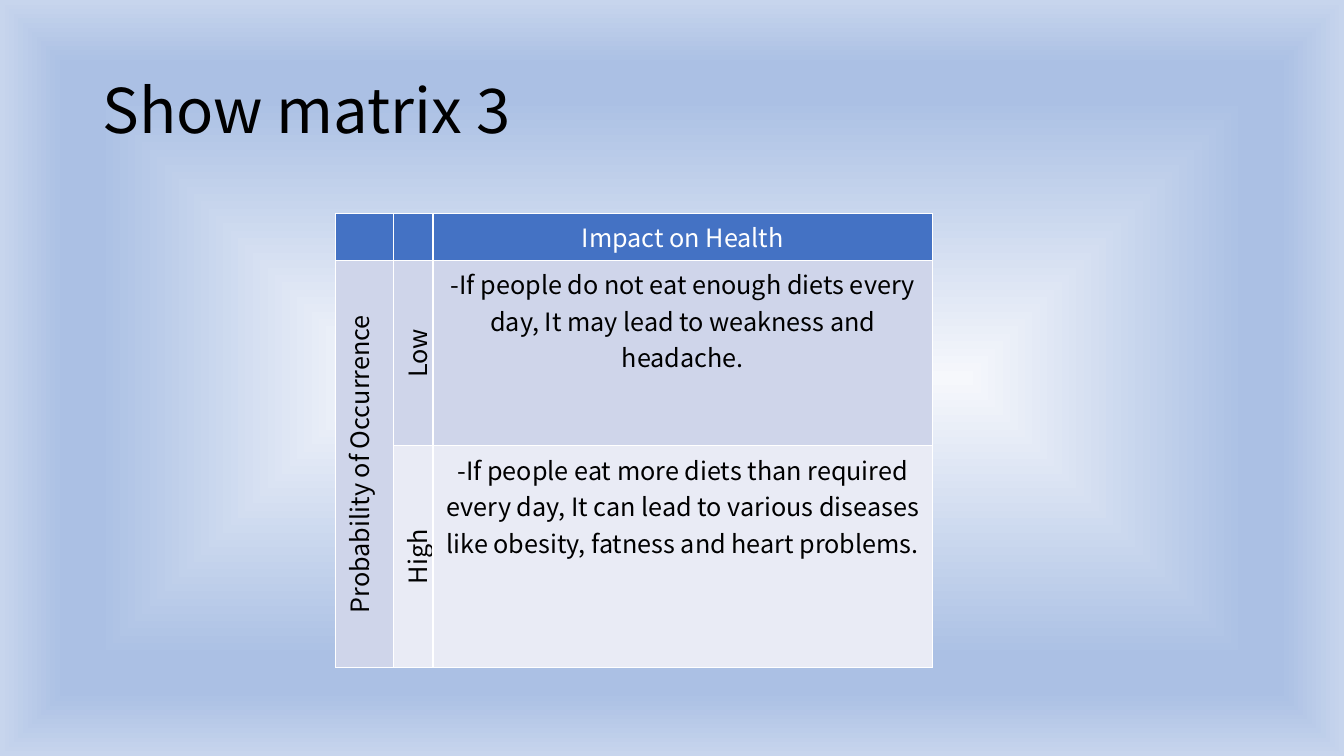
import pptx
import pptx.dml.color
import pptx.enum.text
import pptx.oxml
import pptx.oxml.ns
import pptx.util
from pptx.util import Pt

FONT = "Noto Sans CJK KR"
COLORS = {
    "black": "000000", "white": "FFFFFF", "header": "4472C4",
    "low": "CFD5EA", "high": "E9EBF5",
    "glow": "F6F8FC", "blue": "ABC0E4", "edge": "C7D5ED",
}
NS = pptx.oxml.ns.nsdecls("a", "p")
ALIGN = pptx.enum.text.PP_ALIGN
ANCHOR = pptx.enum.text.MSO_ANCHOR


def rgb(name):
    return pptx.dml.color.RGBColor.from_string(COLORS[name])


def add_run(p, text, size, color):
    r = p.add_run()
    r.text = text
    r.font.name = FONT
    r.font.size = Pt(size)
    r.font.bold = False
    r.font.color.rgb = rgb(color)


def set_background(s, stops):
    gs = "".join(
        f'<a:gs pos="{pos * 1000}"><a:srgbClr val="{COLORS[name]}"/></a:gs>'
        for pos, name in stops)
    s.element.cSld.insert(0, pptx.oxml.parse_xml(
        f'<p:bg {NS}><p:bgPr><a:gradFill rotWithShape="1"><a:gsLst>{gs}</a:gsLst>'
        '<a:path path="shape"><a:fillToRect l="50000" t="50000" r="50000" b="50000"/>'
        '</a:path></a:gradFill><a:effectLst/></p:bgPr></p:bg>'))


def set_title(s, text):
    title = s.shapes.title
    title.left, title.top, title.width, title.height = Pt(66), Pt(28.75), Pt(828), Pt(104.4)
    tf = title.text_frame
    tf.word_wrap = True
    tf.vertical_anchor = ANCHOR.MIDDLE
    p = tf.paragraphs[0]
    p.alignment = ALIGN.LEFT
    p.line_spacing = 0.9
    add_run(p, text, 44, "black")


def add_table(s, left, top, col_widths, row_heights):
    frame = s.shapes.add_table(len(row_heights), len(col_widths), Pt(left), Pt(top),
                               Pt(sum(col_widths)), Pt(sum(row_heights)))
    table = frame.table
    table.horz_banding = False
    for col, width in zip(table.columns, col_widths):
        col.width = Pt(width)
    for row, height in zip(table.rows, row_heights):
        row.height = Pt(height)
    return table


def format_cell(cell, fill, text="", color="black", anchor=ANCHOR.MIDDLE, rotated=False):
    tc_pr = cell._tc.get_or_add_tcPr()
    for side in "LRTB":
        tc_pr.append(pptx.oxml.parse_xml(
            f'<a:ln{side} {NS} w="{Pt(1)}"><a:solidFill>'
            f'<a:srgbClr val="{COLORS["white"]}"/></a:solidFill></a:ln{side}>'))
    cell.fill.solid()
    cell.fill.fore_color.rgb = rgb(fill)
    cell.vertical_anchor = anchor
    if rotated:
        tc_pr.set("vert", "vert270")
    if text:
        p = cell.text_frame.paragraphs[0]
        p.alignment = ALIGN.CENTER
        add_run(p, text, 18, color)


def main():
    prs = pptx.Presentation()
    prs.slide_width, prs.slide_height = Pt(960), Pt(540)
    s = prs.slides.add_slide(prs.slide_layouts[5])
    set_background(s, [(0, "glow"), (74, "blue"), (83, "blue"), (100, "edge")])
    set_title(s, "Show matrix 3")

    # Matrix header
    table = add_table(s, 239.75, 152.5, [41.25, 28.25, 357], [33.5, 132.5, 158.5])
    for col, text in enumerate(["", "", "Impact on Health"]):
        format_cell(table.cell(0, col), "header", text, "white")

    # Probability label spans both levels
    table.cell(1, 0).merge(table.cell(2, 0))
    format_cell(table.cell(1, 0), "low", "Probability of Occurrence", rotated=True)
    format_cell(table.cell(2, 0), "low")

    # Level rows
    levels = [
        ("Low", "low", "-If people do not eat enough diets every day, "
                       "It may lead to weakness and headache."),
        ("High", "high", "-If people eat more diets than required every day, It can lead "
                         "to various diseases like obesity, fatness and heart problems."),
    ]
    for row, (level, fill, impact) in enumerate(levels, start=1):
        format_cell(table.cell(row, 1), fill, level, rotated=True)
        format_cell(table.cell(row, 2), fill, impact, anchor=ANCHOR.TOP)

    prs.save("out.pptx")


if __name__ == "__main__":
    main()
